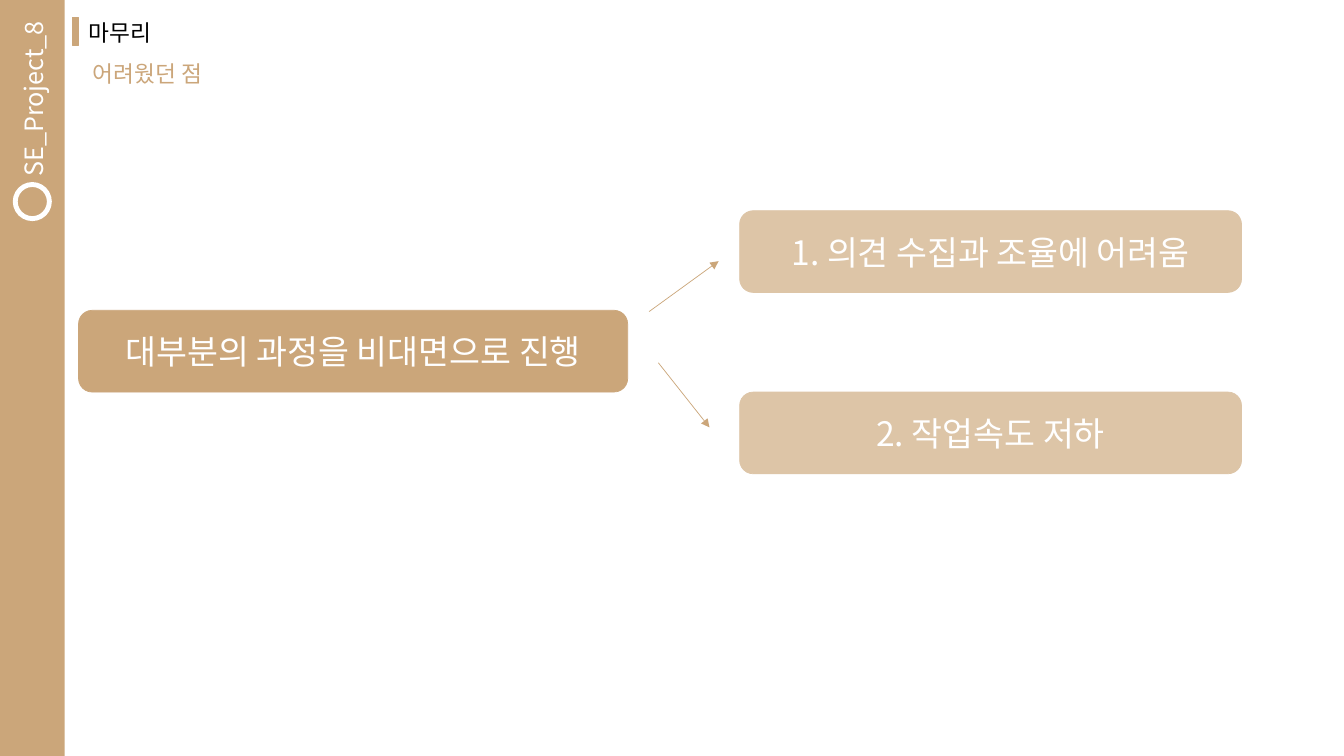
"""Builds a slide that links one cause to two difficulties."""
from lxml import etree
from pptx import Presentation
from pptx.dml.color import RGBColor
from pptx.enum.shapes import MSO_CONNECTOR, MSO_SHAPE
from pptx.enum.text import MSO_ANCHOR, PP_ALIGN
from pptx.oxml.ns import qn
from pptx.util import Cm, Pt

RECT, ROUND, OVAL = MSO_SHAPE.RECTANGLE, MSO_SHAPE.ROUNDED_RECTANGLE, MSO_SHAPE.OVAL
LINE = MSO_CONNECTOR.STRAIGHT
LEFT, CENTER = PP_ALIGN.LEFT, PP_ALIGN.CENTER
TOP, MIDDLE = MSO_ANCHOR.TOP, MSO_ANCHOR.MIDDLE

PROJECT = "SE_Project_8"
TITLE = "마무리"
TOPIC = "어려웠던 점"
CAUSE = "대부분의 과정을 비대면으로 진행"
EFFECTS = ["1. 의견 수집과 조율에 어려움", "2. 작업속도 저하"]
ARROWS = [(16.36, 7.85, 18.11, 6.58), (16.59, 9.14, 17.88, 10.77)]

THEME = {
    "font": "Noto Sans CJK KR",
    "tan": RGBColor.from_string("CBA67A"),
    "sand": RGBColor.from_string("DDC5A7"),
    "white": RGBColor.from_string("FFFFFF"),
    "black": RGBColor.from_string("000000"),
    "head": Pt(16.2),
    "side": Pt(18),
    "box": Pt(24),
    "thin": Pt(0.5),
    "thick": Pt(3.5),
}
WIDTH, HEIGHT = 33.87, 19.05
BAR = 1.63
RING = 0.86
HEAD_W, HEAD_H = 4.7, 0.84
BOX_H = 2.06
EFFECT_X, EFFECT_Y, EFFECT_W, EFFECT_STEP = 18.64, 5.31, 12.65, 4.57


def apply(target, values):
    """Set each named attribute on the target."""
    for name, value in values.items():
        setattr(target, name, value)


def place(shape, x, y, w, h):
    """Move and size a shape in centimetres."""
    apply(shape, {"left": Cm(x), "top": Cm(y), "width": Cm(w), "height": Cm(h)})


def write(shape, text, size, color, align=LEFT, anchor=MIDDLE, space=1.0):
    """Put one formatted line of text in a shape."""
    frame = shape.text_frame
    apply(frame, {"word_wrap": True, "vertical_anchor": anchor})
    line = frame.paragraphs[0]
    apply(line, {"alignment": align, "line_spacing": space})
    run = line.add_run()
    run.text = text
    apply(run.font, {"size": THEME[size], "name": THEME["font"]})
    run.font.color.rgb = THEME[color]
    asian = etree.SubElement(run.font._element, qn("a:ea"))
    asian.set("typeface", THEME["font"])


def label(slide, x, y, w, h):
    """Add an empty text box."""
    return slide.shapes.add_textbox(Cm(x), Cm(y), Cm(w), Cm(h))


def block(slide, kind, x, y, w, h, fill=None, edge=None, weight="thin"):
    """Add a flat shape with an optional fill and edge."""
    shape = slide.shapes.add_shape(kind, Cm(x), Cm(y), Cm(w), Cm(h))
    shape.shadow.inherit = False
    for part, color in ((shape.fill, fill), (shape.line.fill, edge)):
        if color:
            part.solid()
            part.fore_color.rgb = THEME[color]
        else:
            part.background()
    if edge:
        shape.line.width = THEME[weight]
    return shape


def arrow(slide, *ends):
    """Add a thin arrow between two points."""
    link = slide.shapes.add_connector(LINE, *map(Cm, ends))
    link.line.color.rgb = THEME["tan"]
    link.line.width = THEME["thin"]
    etree.SubElement(link.line._get_or_add_ln(), qn("a:tailEnd"), type="triangle")
    etree.SubElement(link._element.spPr, qn("a:effectLst"))


def main():
    """Build and save the slide."""
    deck = Presentation()
    apply(deck, {"slide_width": Cm(WIDTH), "slide_height": Cm(HEIGHT)})
    slide = deck.slides.add_slide(deck.slide_layouts[5])

    block(slide, RECT, 0, 0, BAR, HEIGHT, "tan")
    side = label(slide, -1.4, 1.96, 4.47, 1.02)
    side.rotation = 270
    write(side, PROJECT, "side", "white", anchor=TOP)
    block(slide, OVAL, (BAR - RING) / 2, 4.65, RING, RING, edge="white", weight="thick")

    title = slide.shapes.title
    place(title, 1.98, 0.43, HEAD_W, HEAD_H)
    write(title, TITLE, "head", "black", space=0.9)
    block(slide, RECT, 1.83, 0.43, 0.15, 0.71, "tan", "tan")
    topic = label(slide, 2.08, 1.5, HEAD_W, HEAD_H)
    write(topic, TOPIC, "head", "tan", space=0.8)

    cause = block(slide, ROUND, 1.98, 7.82, 13.84, BOX_H, "tan", "tan")
    write(cause, CAUSE, "box", "white", CENTER)
    for row, text in enumerate(EFFECTS):
        y = EFFECT_Y + row * EFFECT_STEP
        effect = block(slide, ROUND, EFFECT_X, y, EFFECT_W, BOX_H, "sand", "sand")
        write(effect, text, "box", "white", CENTER)
    for ends in ARROWS:
        arrow(slide, *ends)

    deck.save("out.pptx")


if __name__ == "__main__":
    main()
